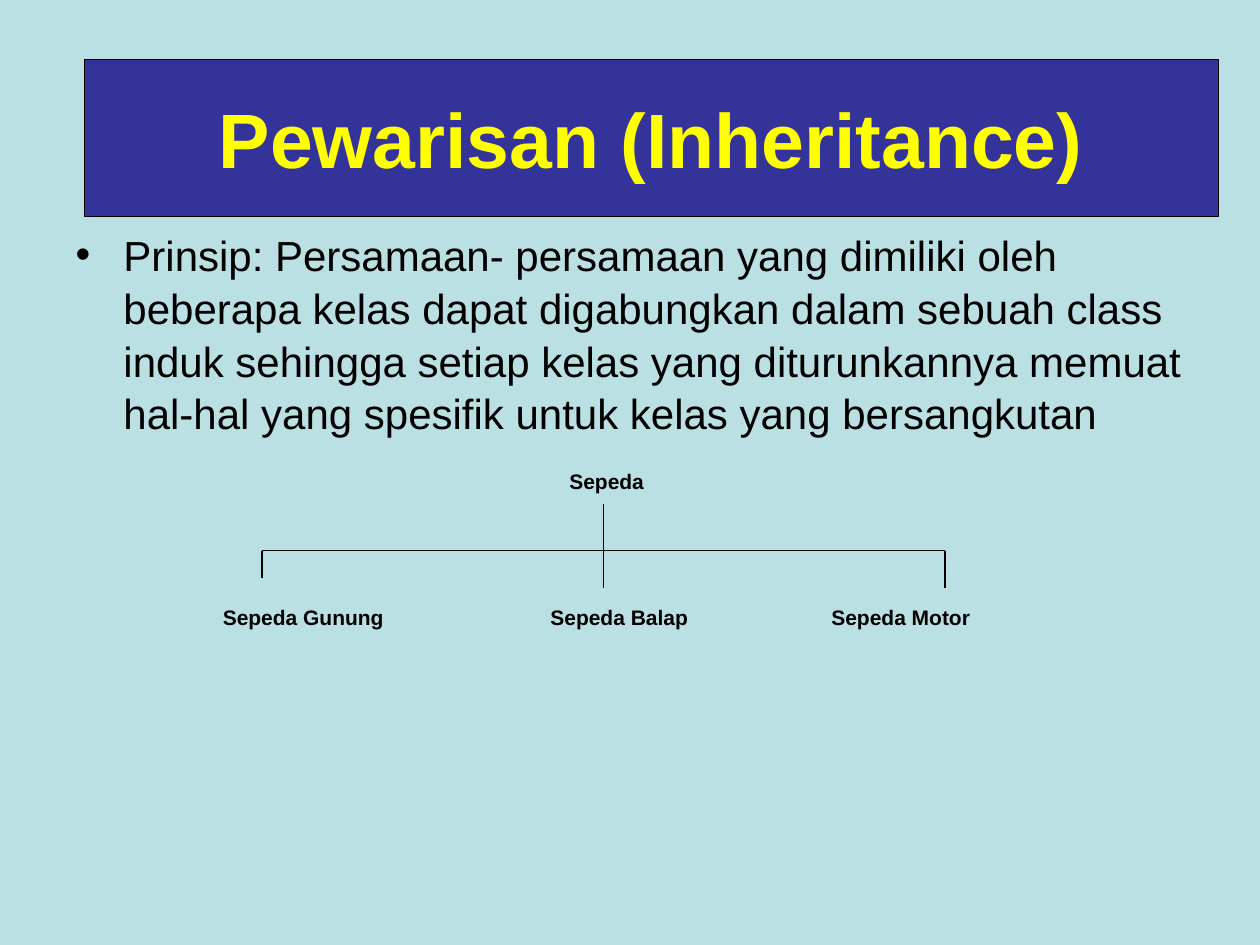
from lxml import etree
from pptx import Presentation, util as u
from pptx.dml.color import RGBColor
from pptx.enum import shapes, text
from pptx.oxml.ns import qn

deck = Presentation()
deck.slide_width, deck.slide_height = u.Inches(10), u.Inches(7.5)
slide = deck.slides.add_slide(deck.slide_layouts[1])


def paint(fill, color):
    fill.solid()
    fill.fore_color.rgb = RGBColor.from_string(color)


def write(shape, content, box, size, color="000000", bold=False, align="LEFT",
          anchor="MIDDLE", spacing=1.0, bullet=None, hang=0, tabs=()):
    shape.left, shape.top, shape.width, shape.height = map(u.Inches, box)
    frame = shape.text_frame
    frame.word_wrap = True
    frame.auto_size = text.MSO_AUTO_SIZE.NONE
    frame.vertical_anchor = text.MSO_ANCHOR[anchor]
    paragraph = frame.paragraphs[0]
    paragraph.text = content
    paragraph.alignment = text.PP_ALIGN[align]
    paragraph.space_before = u.Pt(0)
    paragraph.line_spacing = spacing
    props = paragraph._p.get_or_add_pPr()
    if bullet:
        props.set("marL", str(u.Inches(hang)))
        props.set("indent", str(-u.Inches(hang)))
        etree.SubElement(props, qn("a:buChar"), char=bullet)
    if tabs:
        stops = etree.SubElement(props, qn("a:tabLst"))
        for stop in tabs:
            etree.SubElement(stops, qn("a:tab"), pos=str(u.Inches(stop)), algn="l")
    font = paragraph.runs[0].font
    font.name, font.size, font.bold = "Arial", u.Pt(size), bold
    paint(font.fill, color)


# Background
paint(slide.background.fill, "BBE0E3")

# Title in a rounded banner
title = slide.shapes.title
write(title, "Pewarisan (Inheritance)", (0.67, 0.47, 9, 1.25), 44,
      color="FFFF00", bold=True, align="CENTER")
banner = etree.SubElement(title._element.spPr, qn("a:prstGeom"), prst="flowChartTerminator")
etree.SubElement(banner, qn("a:avLst"))
paint(title.fill, "333399")
paint(title.line.fill, "000000")
title.line.width = u.Pt(0.75)

# Principle
write(slide.placeholders[1],
      "Prinsip: Persamaan- persamaan yang dimiliki oleh beberapa kelas dapat "
      "digabungkan dalam sebuah class induk sehingga setiap kelas yang "
      "diturunkannya memuat hal-hal yang spesifik untuk kelas yang bersangkutan",
      (0.5, 1.75, 9, 4.95), 24, anchor="TOP", spacing=1.05, bullet="•", hang=0.38)

# Class tree: trunk, crossbar and outer branches
left, right, bar = 2.08, 7.5, 4.37
middle = (left + right) / 2
tree = slide.shapes.add_group_shape()
for ends in [(middle, 4, middle, 4.67), (left, bar, right, bar),
             (left, bar, left, 4.59), (right, bar, right, 4.67)]:
    branch = tree.shapes.add_connector(shapes.MSO_CONNECTOR.STRAIGHT, *map(u.Inches, ends))
    paint(branch.line.fill, "000000")
    branch.line.width = u.Pt(0.75)
    etree.SubElement(branch._element.spPr, qn("a:effectLst"))

# Class names: parent, then children on tab stops
for names, box, tabs in [
    ("Sepeda", (4.42, 3.67, 0.79, 0.3), ()),
    ("Sepeda Gunung\tSepeda Balap\tSepeda Motor", (1.67, 4.75, 6.67, 0.3), (2.6, 4.83)),
]:
    label = slide.shapes.add_textbox(0, 0, 0, 0)
    write(label, names, box, 12, bold=True, tabs=tabs)

deck.save("out.pptx")
